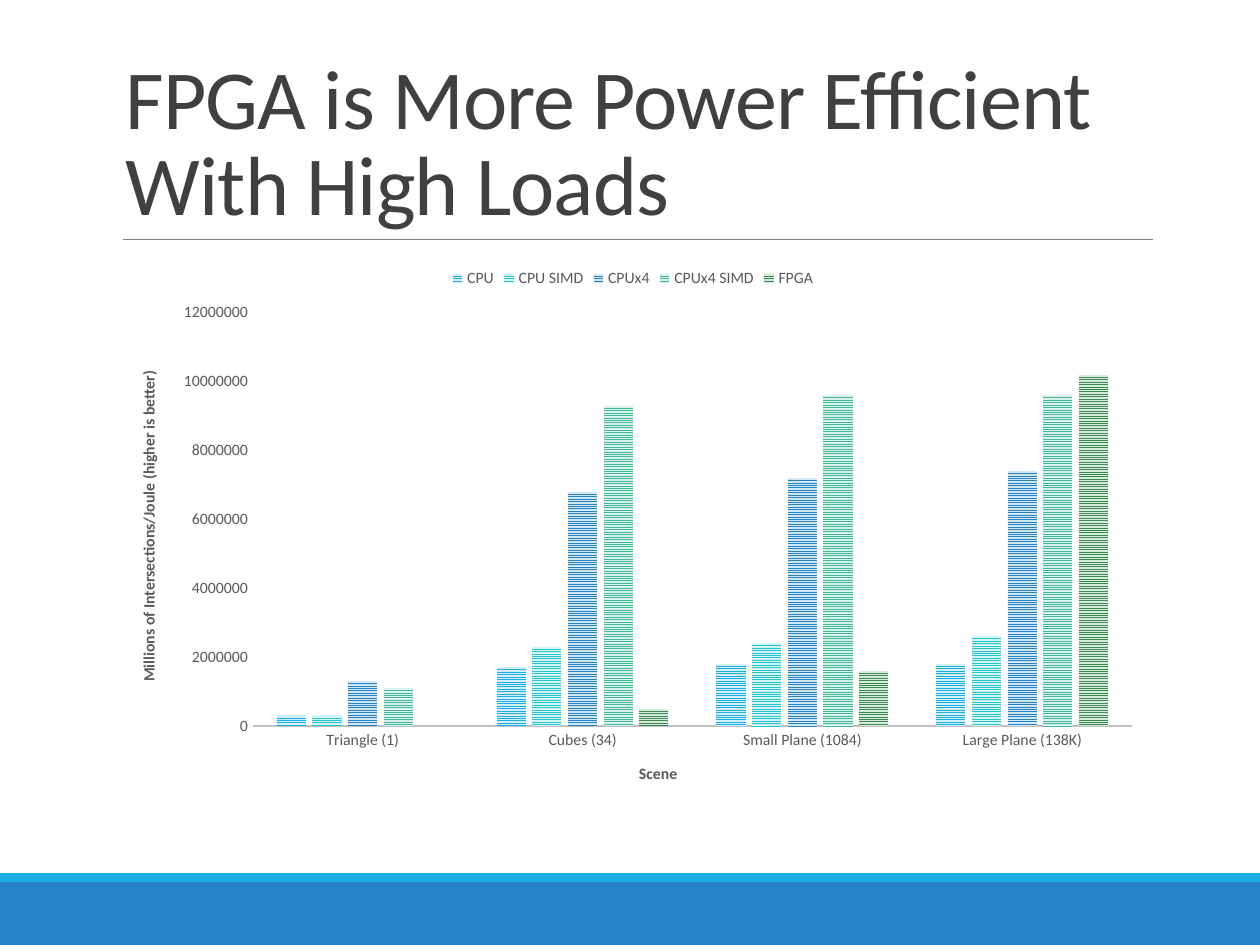
from pptx import Presentation
from pptx.chart.data import CategoryChartData
from pptx.dml.color import RGBColor
from pptx.enum.chart import XL_CHART_TYPE, XL_LEGEND_POSITION, XL_TICK_MARK
from pptx.enum.dml import MSO_PATTERN
from pptx.enum.shapes import MSO_CONNECTOR, MSO_SHAPE
from pptx.enum.text import MSO_ANCHOR, MSO_AUTO_SIZE, PP_ALIGN
from pptx.oxml.ns import qn
from pptx.util import Pt

COLUMNS = XL_CHART_TYPE.COLUMN_CLUSTERED
LEGEND_TOP = XL_LEGEND_POSITION.TOP
NO_TICK = XL_TICK_MARK.NONE
STRIPES = MSO_PATTERN.NARROW_HORIZONTAL
RECTANGLE = MSO_SHAPE.RECTANGLE
STRAIGHT = MSO_CONNECTOR.STRAIGHT
BOTTOM = MSO_ANCHOR.BOTTOM
NO_AUTOFIT = MSO_AUTO_SIZE.NONE
LEFT = PP_ALIGN.LEFT

FONT = "Calibri"
TITLE_GREY = RGBColor(0x40, 0x40, 0x40)
TEXT_GREY = RGBColor(0x59, 0x59, 0x59)
RULE_GREY = RGBColor(0x80, 0x80, 0x80)
AXIS_GREY = RGBColor(0xBF, 0xBF, 0xBF)
SKY = RGBColor(0x1C, 0xAD, 0xE4)
PALE_SKY = RGBColor(0xD2, 0xEF, 0xFA)
TEAL = RGBColor(0x28, 0xC4, 0xCC)
PALE_TEAL = RGBColor(0xD3, 0xF5, 0xF6)
BLUE = RGBColor(0x26, 0x83, 0xC6)
PALE_BLUE = RGBColor(0xD1, 0xE7, 0xF6)
MINT = RGBColor(0x42, 0xBA, 0x97)
PALE_MINT = RGBColor(0xD9, 0xF1, 0xEA)
GREEN = RGBColor(0x3E, 0x88, 0x53)
PALE_GREEN = RGBColor(0xD4, 0xEB, 0xDB)

TITLE = "FPGA is More Power Efficient With High Loads"
SCENE_TITLE = "Scene"
EFFICIENCY_TITLE = "Millions of Intersections/Joule (higher is better)"
SCENES = ["Triangle (1)", "Cubes (34)", "Small Plane (1084)", "Large Plane (138K)"]
PROCESSORS = [
    ("CPU", (300000, 1700000, 1800000, 1800000), SKY, PALE_SKY),
    ("CPU SIMD", (300000, 2300000, 2400000, 2600000), TEAL, PALE_TEAL),
    ("CPUx4", (1300000, 6800000, 7200000, 7400000), BLUE, PALE_BLUE),
    ("CPUx4 SIMD", (1100000, 9300000, 9600000, 9600000), MINT, PALE_MINT),
    ("FPGA", (0, 500000, 1600000, 10200000), GREEN, PALE_GREEN),
]

SLIDE_W, SLIDE_H = 1260, 945
FOOTER_BANDS = [(882, 63, BLUE), (873, 9, SKY)]
TITLE_BOX = (113, 39, 1040, 200)
CHART_BOX = (113, 255, 1040, 554)
RULE_LEFT, RULE_RIGHT, RULE_Y = 123, 1153, 239


def px(*lengths):
    return [round(length * 914400 / 126) for length in lengths]


def style_font(font, size, color, bold=False):
    font.name = FONT
    font.size = Pt(size)
    font.bold = bold
    font.color.rgb = color


def style_axis(axis, caption):
    axis.has_major_gridlines = False
    axis.major_tick_mark = NO_TICK
    axis.minor_tick_mark = NO_TICK
    style_font(axis.tick_labels.font, 9, TEXT_GREY)
    frame = axis.axis_title.text_frame
    frame.text = caption
    style_font(frame.paragraphs[0].font, 9, TEXT_GREY, bold=True)


prs = Presentation()
prs.slide_width, prs.slide_height = px(SLIDE_W, SLIDE_H)
slide = prs.slides.add_slide(prs.slide_layouts[5])
shapes = slide.shapes

for top, height, color in FOOTER_BANDS:
    band = shapes.add_shape(RECTANGLE, *px(0, top, SLIDE_W, height))
    band.shadow.inherit = False
    band.fill.solid()
    band.fill.fore_color.rgb = color
    band.line.fill.background()

rule = shapes.add_connector(STRAIGHT, *px(RULE_LEFT, RULE_Y, RULE_RIGHT, RULE_Y))
rule.line.color.rgb = RULE_GREY
rule.line.width = Pt(0.5)
rule_properties = rule._element.spPr
rule_properties.append(rule_properties.makeelement(qn("a:effectLst"), {}))

title = shapes.title
title.left, title.top, title.width, title.height = px(*TITLE_BOX)
title_frame = title.text_frame
title_frame.text = TITLE
title_frame.word_wrap = True
title_frame.auto_size = NO_AUTOFIT
title_frame.vertical_anchor = BOTTOM
heading = title_frame.paragraphs[0]
heading.alignment = LEFT
heading.line_spacing = 0.85
style_font(heading.font, 48, TITLE_GREY)
heading.runs[0].font._element.set("spc", "-50")

efficiency = CategoryChartData()
efficiency.categories = SCENES
for name, values, _, _ in PROCESSORS:
    efficiency.add_series(name, values)
chart = shapes.add_chart(COLUMNS, *px(*CHART_BOX), efficiency).chart
chart.has_title = False
chart.font.name = FONT
chart.font.size = Pt(10)

chart.has_legend = True
chart.legend.position = LEGEND_TOP
chart.legend.include_in_layout = False
style_font(chart.legend.font, 9, TEXT_GREY)

style_axis(chart.category_axis, SCENE_TITLE)
scene_line = chart.category_axis.format.line
scene_line.color.rgb = AXIS_GREY
scene_line.width = Pt(1.5)
style_axis(chart.value_axis, EFFICIENCY_TITLE)
chart.value_axis.format.line.fill.background()

plot = chart.plots[0]
plot.vary_by_categories = False
plot.gap_width = 164
plot.overlap = -22
for series, (_, _, stripe, pale) in zip(plot.series, PROCESSORS):
    series.invert_if_negative = False
    fill = series.format.fill
    fill.patterned()
    fill.pattern = STRIPES
    fill.fore_color.rgb = stripe
    fill.back_color.rgb = pale

prs.save("out.pptx")
